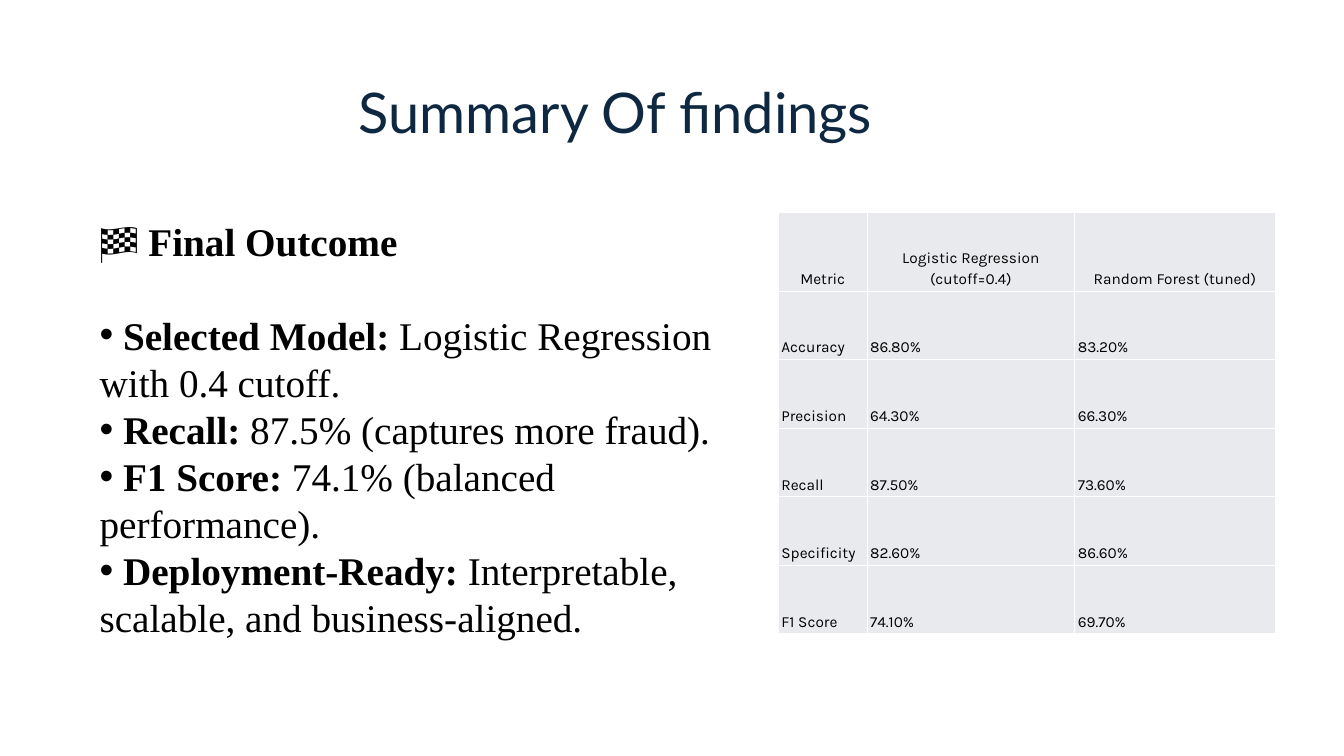
"""Build the summary slide of a fraud model comparison."""
from lxml.etree import SubElement
from pptx import Presentation
from pptx.dml.color import RGBColor
from pptx.enum.text import MSO_ANCHOR, MSO_AUTO_SIZE, PP_ALIGN
from pptx.oxml.ns import qn
from pptx.util import Inches, Pt

COLOURS = {"title": "0E2841", "text": "000000", "cell": "E8EAED", "border": "FFFFFF"}

OUTCOMES = [
    (" Selected Model:", " Logistic Regression with 0.4 cutoff."),
    (" Recall:", " 87.5% (captures more fraud)."),
    (" F1 Score:", " 74.1% (balanced performance)."),
    (" Deployment-Ready:", " Interpretable, scalable, and business-aligned."),
]

METRICS = [
    ("Metric", "Logistic Regression (cutoff=0.4)", "Random Forest (tuned)"),
    ("Accuracy", "86.80%", "83.20%"),
    ("Precision", "64.30%", "66.30%"),
    ("Recall", "87.50%", "73.60%"),
    ("Specificity", "82.60%", "86.60%"),
    ("F1 Score", "74.10%", "69.70%"),
]
COLUMN_WIDTHS = (0.88, 2.06, 1.99)
HEADER_HEIGHT, ROW_HEIGHT = 0.78, 0.68


def style_run(run, font_name, size, colour, bold=False):
    """Set the font of one run."""
    run.font.name = font_name
    run.font.size = Pt(size)
    run.font.bold = bold
    run.font.color.rgb = RGBColor.from_string(COLOURS[colour])


def set_title(slide, text):
    """Place and format the slide title."""
    title = slide.shapes.title
    title.left, title.top = Inches(3.46), Inches(0.72)
    title.width, title.height = Inches(6.62), Inches(0.84)
    frame = title.text_frame
    frame.text = text
    frame.auto_size = MSO_AUTO_SIZE.NONE
    frame.vertical_anchor = MSO_ANCHOR.MIDDLE
    heading = frame.paragraphs[0]
    heading.alignment = PP_ALIGN.LEFT
    heading.line_spacing = 0.9
    style_run(heading.runs[0], "Lato", 40, "title")


def add_bullet(paragraph):
    """Give a paragraph a round bullet without indent."""
    properties = paragraph._p.get_or_add_pPr()
    properties.set("marL", "0")
    properties.set("indent", "0")
    SubElement(properties, qn("a:buFont"), typeface="Arial")
    SubElement(properties, qn("a:buChar"), char="•")


def add_outcomes(slide):
    """Add the final outcome heading and its bullets."""
    outcome_box = slide.shapes.add_textbox(
        Inches(0.89), Inches(2.11), Inches(6.83), Inches(4.34))
    frame = outcome_box.text_frame
    frame.word_wrap = True
    frame.text = "🏁 Final Outcome"
    heading = frame.paragraphs[0]
    heading.space_after = Pt(33)
    style_run(heading.runs[0], "Times New Roman", 28, "text", bold=True)
    for label, detail in OUTCOMES:
        bullet = frame.add_paragraph()
        add_bullet(bullet)
        for text, bold in ((label, True), (detail, False)):
            run = bullet.add_run()
            run.text = text
            style_run(run, "Times New Roman", 28, "text", bold)


def add_borders(cell):
    """Draw a thin line on all four sides of a cell."""
    properties = cell._tc.get_or_add_tcPr()
    for position, side in enumerate(("a:lnL", "a:lnR", "a:lnT", "a:lnB")):
        line = SubElement(properties, qn(side), w=str(Pt(1)))
        properties.insert(position, line)
        fill = SubElement(line, qn("a:solidFill"))
        SubElement(fill, qn("a:srgbClr"), val=COLOURS["border"])


def fill_cell(cell, text, alignment):
    """Write and format one table cell."""
    cell.text = text
    cell.vertical_anchor = MSO_ANCHOR.BOTTOM
    cell.margin_left = cell.margin_right = Inches(0.03)
    cell.margin_top = cell.margin_bottom = Inches(0.03)
    cell.fill.solid()
    cell.fill.fore_color.rgb = RGBColor.from_string(COLOURS["cell"])
    add_borders(cell)
    paragraph = cell.text_frame.paragraphs[0]
    paragraph.alignment = alignment
    paragraph.line_spacing = 1.15
    style_run(paragraph.runs[0], "Karla", 11, "text")


def add_metrics(slide):
    """Add the table that compares both models."""
    height = HEADER_HEIGHT + ROW_HEIGHT * (len(METRICS) - 1)
    metrics = slide.shapes.add_table(
        len(METRICS), len(COLUMN_WIDTHS), Inches(7.72), Inches(2.11),
        Inches(sum(COLUMN_WIDTHS)), Inches(height)).table
    for column, width in zip(metrics.columns, COLUMN_WIDTHS):
        column.width = Inches(width)
    for index, values in enumerate(METRICS):
        is_header = index == 0
        metrics.rows[index].height = Inches(HEADER_HEIGHT if is_header else ROW_HEIGHT)
        alignment = PP_ALIGN.CENTER if is_header else PP_ALIGN.LEFT
        for cell, value in zip(metrics.rows[index].cells, values):
            fill_cell(cell, value, alignment)


def main():
    """Build and save the slide."""
    presentation = Presentation()
    presentation.slide_width = Inches(13.33)
    presentation.slide_height = Inches(7.5)
    slide = presentation.slides.add_slide(presentation.slide_layouts[5])
    set_title(slide, "Summary Of findings")
    add_outcomes(slide)
    add_metrics(slide)
    presentation.save("out.pptx")


if __name__ == "__main__":
    main()
